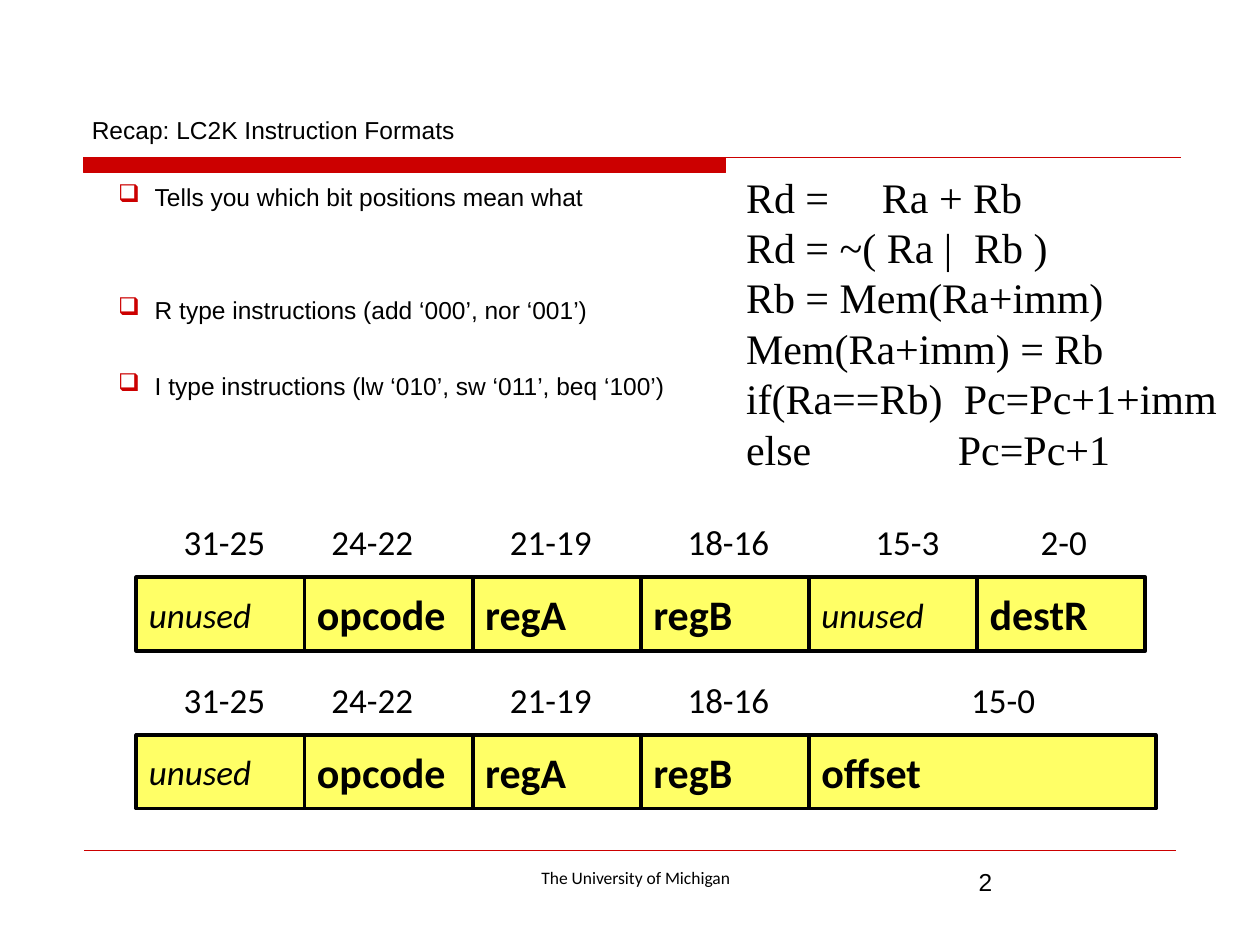
from dataclasses import dataclass
from typing import Optional, Sequence

from lxml.etree import SubElement
from pptx import Presentation
from pptx.dml.color import RGBColor
from pptx.enum.shapes import MSO_CONNECTOR, MSO_SHAPE
from pptx.enum.text import MSO_ANCHOR as Anchor, MSO_AUTO_SIZE as AutoSize, PP_ALIGN as Align
from pptx.oxml.ns import qn
from pptx.util import Cm, Pt

RED = RGBColor(0xCC, 0x00, 0x00)
YELLOW = RGBColor(0xFF, 0xFF, 0x66)
BLACK = RGBColor(0x00, 0x00, 0x00)

CELL_LEFT, CELL_WIDTH, CELL_HEIGHT = 2.75, 3.39, 1.48
LABEL_RISE = 1.27


@dataclass(frozen=True)
class Field:
    name: str
    bits: str
    bits_left: float
    width: float = CELL_WIDTH


@dataclass(frozen=True)
class Line:
    text: str
    before: float = 0
    tab: Optional[float] = None
    bullet: str = ""


SHARED_FIELDS = [
    Field("unused", "31-25", 3.45),
    Field("opcode", "24-22", 6.43),
    Field("regA", "21-19", 10.03),
    Field("regB", "18-16", 13.61),
]
R_TYPE = SHARED_FIELDS + [Field("unused", "15-3", 17.4), Field("destR", "2-0", 20.73)]
I_TYPE = SHARED_FIELDS + [Field("offset", "15-0", 19.33, 6.99)]

BULLETS = [
    Line("Tells you which bit positions mean what", bullet="❑"),
    Line("R type instructions (add ‘000’, nor ‘001’)", 47.8, bullet="❑"),
    Line("I type instructions (lw ‘010’, sw ‘011’, beq ‘100’)", 26.6, bullet="❑"),
]
EQUATIONS = [
    Line("Rd =\tRa + Rb", tab=2.74),
    Line("Rd = ~( Ra |\tRb )", tab=4.6),
    Line("Rb = Mem(Ra+imm)"),
    Line("Mem(Ra+imm) = Rb"),
    Line("if(Ra==Rb)\tPc=Pc+1+imm", tab=4.39),
    Line("else\tPc=Pc+1", tab=4.27),
]


def add_bullet(para, symbol: str) -> None:
    properties = para._p.get_or_add_pPr()
    properties.set("marL", str(Cm(1.3)))
    properties.set("indent", str(Cm(-0.74)))
    colour = SubElement(properties, qn("a:buClr"))
    SubElement(colour, qn("a:srgbClr")).set("val", str(RED))
    SubElement(properties, qn("a:buChar")).set("char", symbol)


def add_tab(para, position: float) -> None:
    tabs = SubElement(para._p.get_or_add_pPr(), qn("a:tabLst"))
    tab = SubElement(tabs, qn("a:tab"))
    tab.set("pos", str(Cm(position)))
    tab.set("algn", "l")


def write(shape, lines: Sequence[Line], *, size: float, font: str = "Calibri",
          bold: bool = False, italic: bool = False, align=Align.LEFT,
          anchor=Anchor.TOP, wrap: bool = True, inset: float = 0.13,
          pitch: Optional[float] = None) -> None:
    """Fill a shape with lines of one format; inset is the top and bottom margin in cm."""
    frame = shape.text_frame
    frame.auto_size = AutoSize.NONE
    frame.word_wrap = wrap
    frame.vertical_anchor = anchor
    frame.margin_left = frame.margin_right = Cm(0.25)
    frame.margin_top = frame.margin_bottom = Cm(inset)
    for index, line in enumerate(lines):
        para = frame.add_paragraph() if index else frame.paragraphs[0]
        if line.bullet:
            add_bullet(para, line.bullet)
        if line.tab:
            add_tab(para, line.tab)
        para.alignment = align
        para.space_before = Pt(line.before)
        if pitch:
            para.line_spacing = Pt(pitch)
        span = para.add_run()
        span.text = line.text
        span.font.name = font
        span.font.size = Pt(size)
        span.font.bold = bold
        span.font.italic = italic
        span.font.color.rgb = BLACK


def add_text(page, left: float, top: float, width: float, height: float,
             lines: Sequence[Line], **style) -> None:
    box = page.shapes.add_textbox(Cm(left), Cm(top), Cm(width), Cm(height))
    write(box, lines, **style)


def add_rectangle(page, left: float, top: float, width: float, height: float,
                  fill: RGBColor, line: RGBColor, weight: float):
    box = page.shapes.add_shape(MSO_SHAPE.RECTANGLE, Cm(left), Cm(top), Cm(width), Cm(height))
    box.shadow.inherit = False
    box.fill.solid()
    box.fill.fore_color.rgb = fill
    box.line.color.rgb = line
    box.line.width = Pt(weight)
    return box


def add_rule(page, left: float, right: float, top: float) -> None:
    rule = page.shapes.add_connector(MSO_CONNECTOR.STRAIGHT, Cm(left), Cm(top), Cm(right), Cm(top))
    rule.line.color.rgb = RED
    rule.line.width = Pt(0.75)
    SubElement(rule._element.spPr, qn("a:effectLst"))


def add_format(page, fields: Sequence[Field], top: float) -> None:
    """Draw an instruction format as a row of cells under their bit ranges."""
    left = CELL_LEFT
    for field in fields:
        unused = field.name == "unused"
        cell = add_rectangle(page, left, top, field.width, CELL_HEIGHT, YELLOW, BLACK, 2.25)
        write(cell, [Line(field.name)], size=20 if unused else 24, bold=not unused,
              italic=unused, anchor=Anchor.MIDDLE, wrap=False)
        label_width = 0.36 + 0.365 * len(field.bits)
        add_text(page, field.bits_left, top - LABEL_RISE, label_width, 1.12,
                 [Line(field.bits)], size=20, wrap=False)
        left += field.width


def main() -> None:
    deck = Presentation()
    deck.slide_width, deck.slide_height = Cm(25.4), Cm(19.05)
    page = deck.slides.add_slide(deck.slide_layouts[5])

    title = page.shapes.title
    title.left, title.top, title.width, title.height = Cm(1.6), Cm(0.84), Cm(22.23), Cm(2.33)
    write(title, [Line("Recap: LC2K Instruction Formats")], size=14, font="Arial",
          anchor=Anchor.BOTTOM, inset=0.25)

    add_rectangle(page, 1.69, 3.18, 12.94, 0.3, RED, RED, 0.75)
    add_rule(page, 1.69, 23.8, 3.18)
    add_rule(page, 1.69, 23.71, 17.15)

    add_text(page, 1.57, 3.42, 13, 8, BULLETS, size=14, font="Arial", inset=0.25)
    add_text(page, 14.79, 3.32, 10.19, 8.46, EQUATIONS, size=24,
             font="Times New Roman", pitch=28.8)

    add_format(page, R_TYPE, 11.64)
    add_format(page, I_TYPE, 14.82)

    add_text(page, 8.05, 17.35, 9.53, 0.69, [Line("The University of Michigan")],
             size=10, align=Align.CENTER)
    add_text(page, 19.48, 17.35, 4.24, 1.32, [Line("2")], size=14, font="Arial")

    deck.save("out.pptx")


if __name__ == "__main__":
    main()
